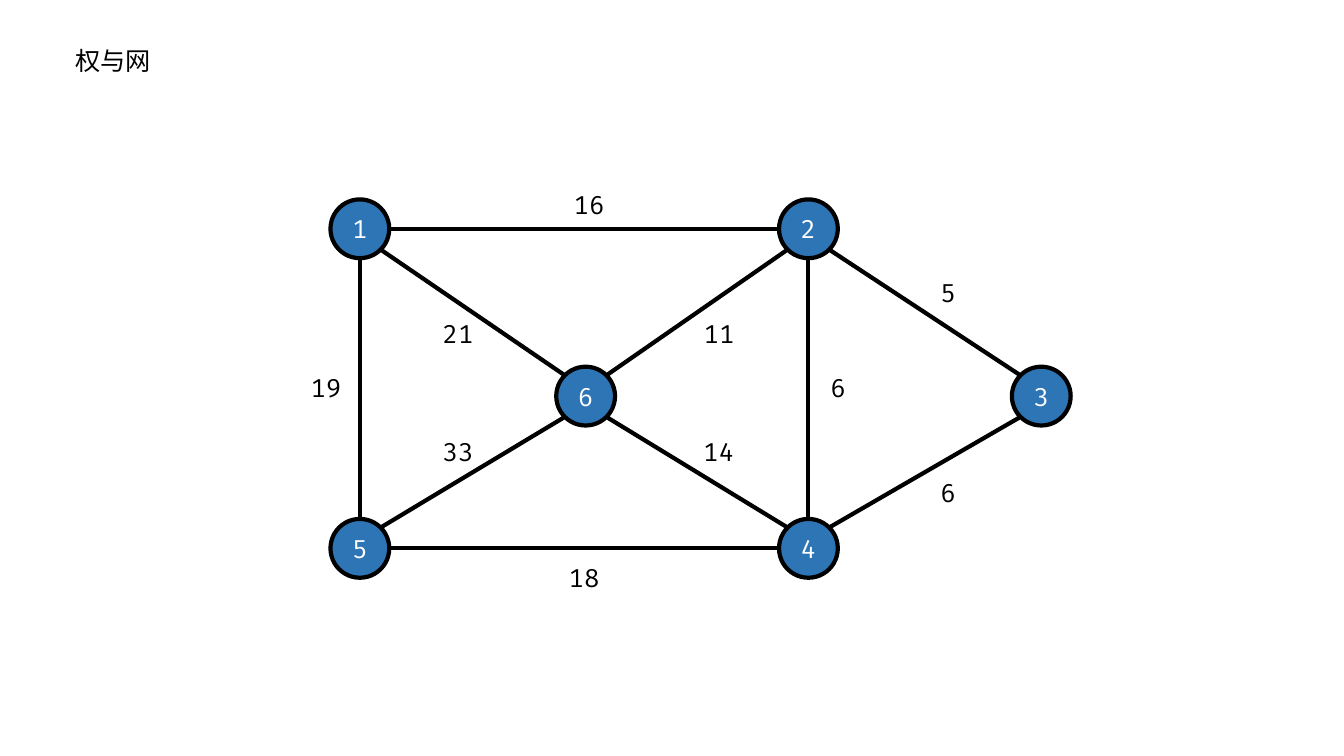
import math

import lxml.etree
import pptx
import pptx.dml.color
import pptx.enum.shapes
import pptx.enum.text
import pptx.oxml.ns
import pptx.util

COLUMNS, ROWS = 160, 90
RADIUS = 3.5
LEFT, MIDDLE, RIGHT, FAR_RIGHT = 42.84, 69.72, 96.24, 123.96
TOP, CENTRE, BOTTOM = 27.24, 47.16, 65.28

VERTICES = {
    "1": (LEFT, TOP),
    "2": (RIGHT, TOP),
    "3": (FAR_RIGHT, CENTRE),
    "4": (RIGHT, BOTTOM),
    "5": (LEFT, BOTTOM),
    "6": (MIDDLE, CENTRE),
}

WEIGHTED_EDGES = [
    ("1", "2", "16", 70.14, 24.36),
    ("1", "6", "21", 54.54, 39.72),
    ("1", "5", "19", 38.82, 46.08),
    ("5", "4", "18", 69.54, 68.76),
    ("5", "6", "33", 54.54, 53.76),
    ("2", "6", "11", 85.62, 39.72),
    ("6", "4", "14", 85.56, 53.76),
    ("2", "4", "6", 99.78, 46.08),
    ("4", "3", "6", 112.86, 58.68),
    ("2", "3", "5", 112.86, 34.8),
]


def colour(value):
    """Turn a hex string into a colour."""
    return pptx.dml.color.RGBColor.from_string(value)


def write(frame, text, font="Fira Code", size=18, ink="000000", align="CENTER", anchor="TOP", wrap=True):
    """Write one formatted line into a text frame."""
    frame.word_wrap = wrap
    frame.vertical_anchor = pptx.enum.text.MSO_ANCHOR[anchor]
    paragraph = frame.paragraphs[0]
    paragraph.alignment = pptx.enum.text.PP_ALIGN[align]
    run = paragraph.add_run()
    run.text = text
    run.font.size = pptx.util.Pt(size)
    run.font.color.rgb = colour(ink)
    run.font.name = font
    properties = run.font._element
    lxml.etree.SubElement(properties, pptx.oxml.ns.qn("a:ea"), typeface=font)


def rim_point(vertex, toward):
    """Find the point on a vertex's rim, in one of eight directions."""
    (x, y), (target_x, target_y) = vertex, toward
    across = (target_x > x) - (target_x < x)
    down = (target_y > y) - (target_y < y)
    reach = RADIUS / math.hypot(across, down)
    return x + across * reach, y + down * reach


class GraphSlide:
    """Draw a weighted graph on a grid of columns and rows."""

    fill, outline, vertex_ink = "2E75B6", "000000", "FFFFFF"
    stroke = pptx.util.Pt(3)

    def __init__(self, deck):
        """Add a blank slide and measure its grid."""
        self.slide = deck.slides.add_slide(deck.slide_layouts[6])
        self.column = deck.slide_width / COLUMNS
        self.row = deck.slide_height / ROWS

    def place(self, x, y):
        """Convert columns and rows to slide lengths."""
        return round(x * self.column), round(y * self.row)

    def text(self, x, y, width, height, words, **style):
        """Add a text box."""
        box = self.slide.shapes.add_textbox(*self.place(x, y), *self.place(width, height))
        write(box.text_frame, words, **style)
        box.text_frame.auto_size = pptx.enum.text.MSO_AUTO_SIZE.SHAPE_TO_FIT_TEXT

    def weight(self, x, y, value):
        """Centre an edge weight on a grid point."""
        width, height = 8.28, 4.8
        self.text(x - width / 2, y - height / 2, width, height, value)

    def edge(self, start, end):
        """Join the rims of two vertices."""
        line = self.slide.shapes.add_connector(
            pptx.enum.shapes.MSO_CONNECTOR.STRAIGHT,
            *self.place(*rim_point(start, end)),
            *self.place(*rim_point(end, start)),
        )
        line.line.color.rgb = colour(self.outline)
        line.line.width = self.stroke
        lxml.etree.SubElement(line._element.spPr, pptx.oxml.ns.qn("a:effectLst"))

    def vertex(self, x, y, name):
        """Draw a numbered circle centred on a grid point."""
        circle = self.slide.shapes.add_shape(
            pptx.enum.shapes.MSO_SHAPE.OVAL,
            *self.place(x - RADIUS, y - RADIUS),
            *self.place(2 * RADIUS, 2 * RADIUS),
        )
        circle.shadow.inherit = False
        circle.fill.solid()
        circle.fill.fore_color.rgb = colour(self.fill)
        circle.line.color.rgb = colour(self.outline)
        circle.line.width = self.stroke
        write(circle.text_frame, name, ink=self.vertex_ink, anchor="MIDDLE", wrap=False)


def main():
    """Build the weighted network slide."""
    deck = pptx.Presentation()
    deck.slide_width = pptx.util.Inches(13.33)
    deck.slide_height = pptx.util.Inches(7.5)
    graph = GraphSlide(deck)
    graph.text(7.8, 4.8, 23.52, 4.8, "权与网", font="Noto Sans CJK SC", align="LEFT")
    for start, end, value, x, y in WEIGHTED_EDGES:
        graph.edge(VERTICES[start], VERTICES[end])
        graph.weight(x, y, value)
    for name, (x, y) in VERTICES.items():
        graph.vertex(x, y, name)
    deck.save("out.pptx")


if __name__ == "__main__":
    main()
